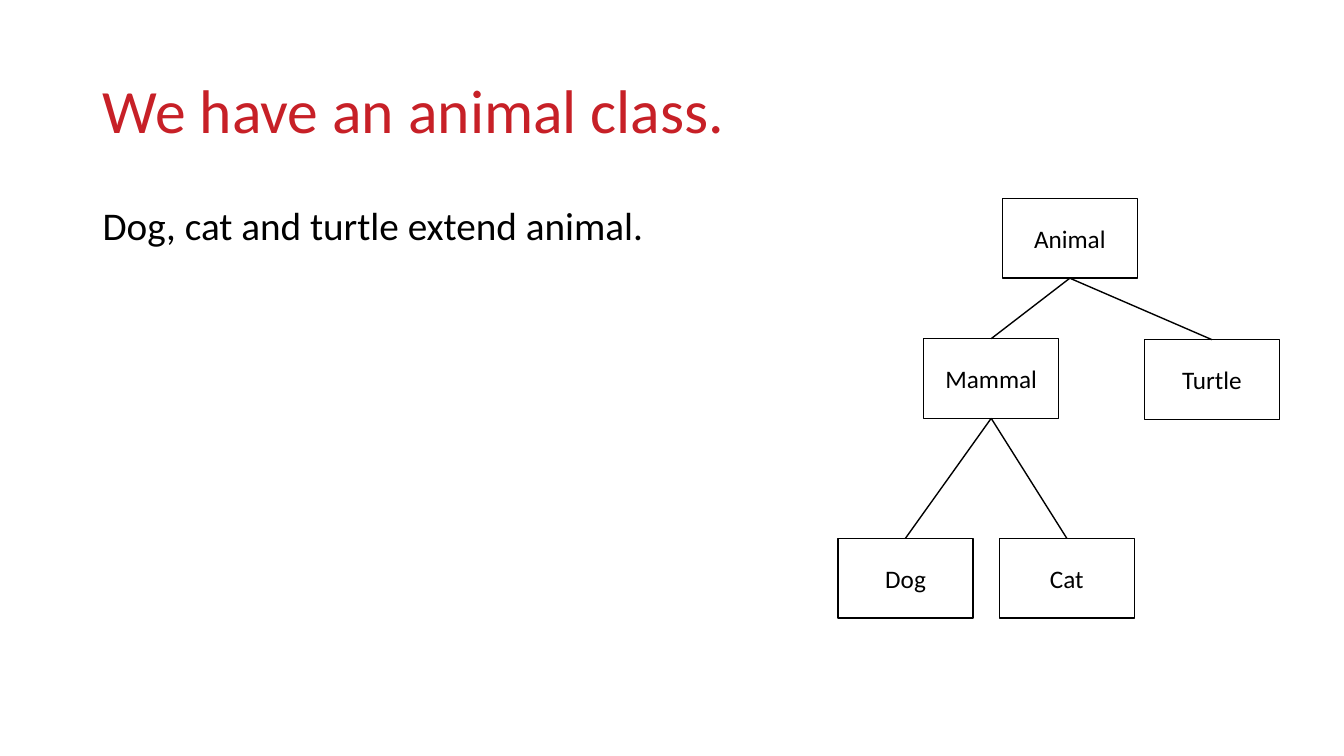
from lxml.etree import SubElement
from pptx import Presentation
from pptx.dml.color import RGBColor as Rgb
from pptx.enum.shapes import MSO_CONNECTOR as Link, MSO_SHAPE as Form
from pptx.enum.text import MSO_ANCHOR as Anchor, PP_ALIGN as Align
from pptx.oxml.ns import qn
from pptx.util import Inches, Pt

COLORS = {"title": "C72027", "ink": "000000", "paper": "FFFFFF"}
FONT = "Calibri"
COLS, ROWS = 40, 30
BOX = (4.02, 3.16)
BOTTOM, TOP = 2, 0  # connection sites of a rectangle

# name: (column, row, parent)
TREE = {
    "Animal": (29.83, 7.88, None),
    "Mammal": (27.49, 13.44, "Animal"),
    "Turtle": (34.06, 13.48, "Animal"),
    "Dog": (24.94, 21.36, "Mammal"),
    "Cat": (29.74, 21.36, "Mammal"),
}


class Page:
    def __init__(self, deck):
        self.slide = deck.slides.add_slide(deck.slide_layouts[6])
        self.shapes = self.slide.shapes
        self.col = deck.slide_width / COLS
        self.row = deck.slide_height / ROWS

    def place(self, x, y, w, h):
        """Turn grid units into slide lengths."""
        return [round(n) for n in
                (x * self.col, y * self.row, w * self.col, h * self.row)]

    def label(self, frame, text, size, color, anchor):
        frame.word_wrap = True
        frame.vertical_anchor = anchor
        para = frame.paragraphs[0]
        para.text = text
        para.font.name = FONT
        para.font.size = Pt(size)
        para.font.color.rgb = Rgb.from_string(COLORS[color])
        return para

    def text(self, spot, text, size, color="ink", anchor=Anchor.TOP, before=0):
        frame = self.shapes.add_textbox(*self.place(*spot)).text_frame
        para = self.label(frame, text, size, color, anchor)
        para.line_spacing = 0.9
        para.space_before = Pt(before)

    def stroke(self, line):
        line.color.rgb = Rgb.from_string(COLORS["ink"])
        line.width = Pt(1)

    def box(self, x, y, text):
        box = self.shapes.add_shape(Form.RECTANGLE, *self.place(x, y, *BOX))
        box.shadow.inherit = False
        box.fill.solid()
        box.fill.fore_color.rgb = Rgb.from_string(COLORS["paper"])
        self.stroke(box.line)
        para = self.label(box.text_frame, text, 18, "ink", Anchor.MIDDLE)
        para.alignment = Align.CENTER
        return box

    def join(self, parent, child):
        line = self.shapes.add_connector(Link.STRAIGHT, 0, 0, 0, 0)
        line.begin_connect(parent, BOTTOM)
        line.end_connect(child, TOP)
        self.stroke(line.line)
        SubElement(line._element.spPr, qn("a:effectLst"))


def main():
    deck = Presentation()
    deck.slide_width, deck.slide_height = Inches(13.33), Inches(7.5)
    page = Page(deck)
    page.text((2.76, 1.6, 29.65, 5.8), "We have an animal class.", 44,
              "title", Anchor.MIDDLE)
    page.text((2.76, 8, 19.42, 19.04), "Dog, cat and turtle extend animal.",
              28, before=10)
    boxes = {}
    for name, (x, y, parent) in TREE.items():
        boxes[name] = page.box(x, y, name)
        if parent:
            page.join(boxes[parent], boxes[name])
    deck.save("out.pptx")


if __name__ == "__main__":
    main()
